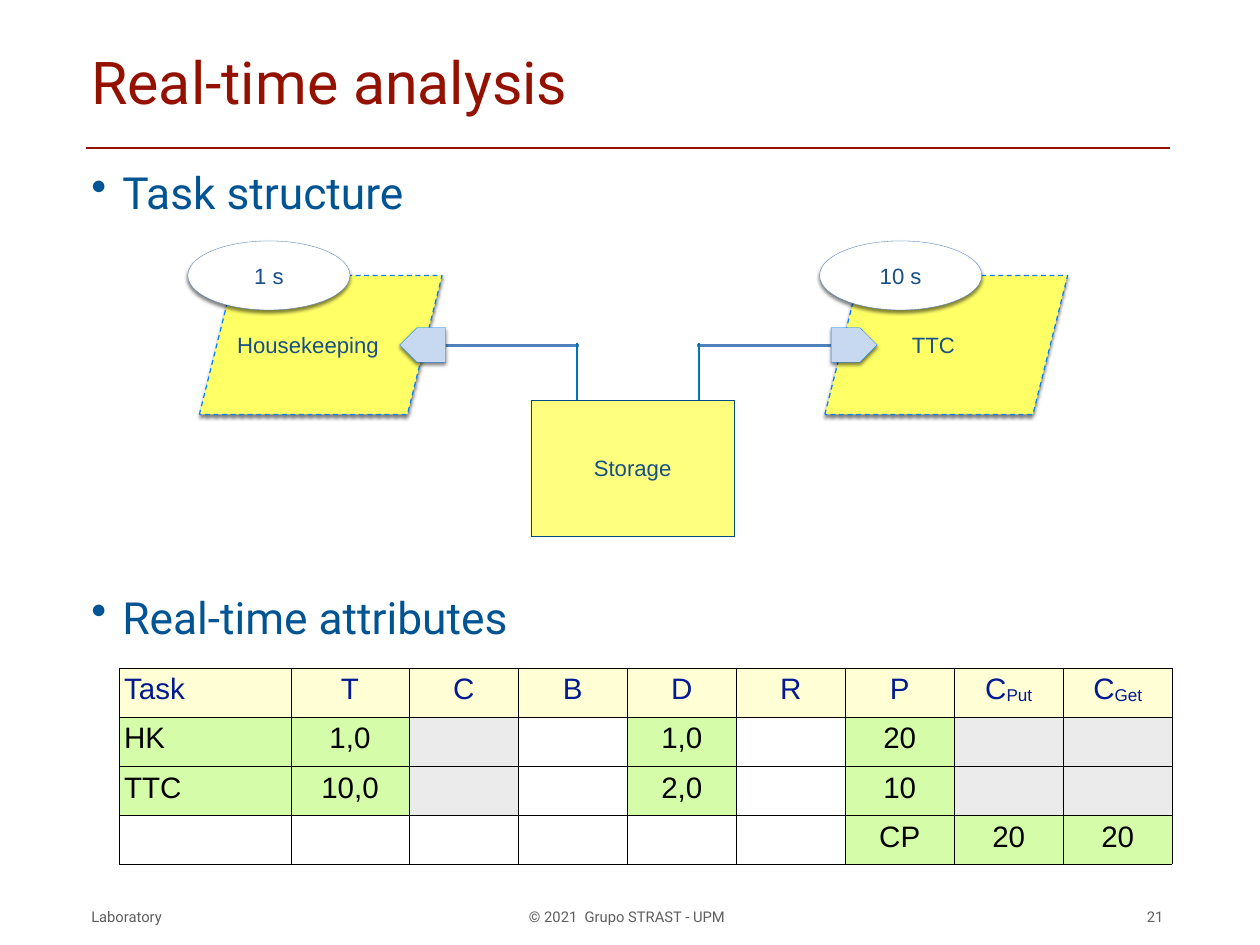
from dataclasses import dataclass

from lxml import etree
from pptx import Presentation
from pptx import util as u
from pptx.dml.color import RGBColor
from pptx.enum import dml, shapes, text
from pptx.oxml.ns import qn

LEFT, CENTER, RIGHT = text.PP_ALIGN.LEFT, text.PP_ALIGN.CENTER, text.PP_ALIGN.RIGHT
SHAPE = shapes.MSO_SHAPE


@dataclass(frozen=True)
class Theme:
    # Fonts and type sizes
    head_font: str = "Roboto"
    label_font: str = "Arial"
    title_size: int = 48
    bullet_size: int = 36
    cell_size: int = 24
    label_size: int = 18
    footer_size: int = 12
    # Colours
    title: str = "941100"
    bullet: str = "005493"
    label: str = "174F86"
    footer: str = "5E5E5E"
    black: str = "000000"
    white: str = "FFFFFF"
    task: str = "FFFF66"
    outline: str = "0080FF"
    oval_line: str = "4A7EBB"
    port: str = "C6D9F1"
    storage: str = "FEFF7E"
    storage_line: str = "004D80"
    link: str = "4F81BD"
    stem: str = "0076BA"
    header_text: str = "011993"
    header_fill: str = "FFFED5"
    known: str = "D4FCA9"
    pending: str = "EBEBEB"


class SlideBuilder:
    def __init__(self, s, theme):
        self.s, self.t = s, theme

    def run(self, p, words, size, color, font, baseline=0):
        r = p.add_run()
        r.text = words
        r.font.size, r.font.name = u.Pt(size), font
        r.font.color.rgb = RGBColor.from_string(color)
        if baseline:
            r.font._element.set("baseline", str(baseline))

    def frame(self, tf, wrap=True, anchor=text.MSO_ANCHOR.MIDDLE):
        tf.word_wrap = wrap
        tf.vertical_anchor = anchor
        tf.margin_left = tf.margin_right = u.Inches(0.06)
        tf.margin_top = tf.margin_bottom = u.Inches(0.06)
        return tf.paragraphs[0]

    def text(self, box, words, size, color, font, align=LEFT, wrap=True):
        tf = self.s.shapes.add_textbox(*map(u.Inches, box)).text_frame
        p = self.frame(tf, wrap)
        p.alignment = align
        self.run(p, words, size, color, font)

    def bullet(self, y, words):
        t = self.t
        box = (0.97, y, 12.22, 0.72)
        tf = self.s.shapes.add_textbox(*map(u.Inches, box)).text_frame
        p = self.frame(tf, anchor=text.MSO_ANCHOR.TOP)
        pPr = p._p.get_or_add_pPr()
        pPr.set("marL", str(u.Inches(0.35)))
        pPr.set("indent", str(-u.Inches(0.35)))
        etree.SubElement(pPr, qn("a:buChar"), char="•")
        self.run(p, words, t.bullet_size, t.bullet, t.head_font)

    def line(self, start, end, color):
        c = self.s.shapes.add_connector(
            shapes.MSO_CONNECTOR.STRAIGHT, *map(u.Inches, start + end))
        c.line.color.rgb = RGBColor.from_string(color)
        c.line.width = u.Pt(2)
        etree.SubElement(c._element.spPr, qn("a:effectLst"))

    def shape(self, kind, box, fill, line, width=0.25, words="", shadow=True):
        t = self.t
        sp = self.s.shapes.add_shape(kind, *map(u.Inches, box))
        sp.fill.solid()
        sp.fill.fore_color.rgb = RGBColor.from_string(fill)
        sp.line.color.rgb = RGBColor.from_string(line)
        sp.line.width = u.Pt(width)
        sp.shadow.inherit = False
        if shadow:
            effects = sp._element.spPr.find(qn("a:effectLst"))
            shade = etree.SubElement(
                effects, qn("a:outerShdw"), blurRad=str(u.Pt(3)),
                dist=str(u.Pt(2)), dir="5400000", rotWithShape="0")
            color = etree.SubElement(shade, qn("a:srgbClr"), val=t.black)
            etree.SubElement(color, qn("a:alpha"), val="50000")
        if words:
            p = self.frame(sp.text_frame)
            p.alignment = CENTER
            self.run(p, words, t.label_size, t.label, t.label_font)
        return sp

    def task(self, x, oval_x, name, period):
        t = self.t
        sp = self.shape(SHAPE.PARALLELOGRAM, (x, 3.11, 2.74, 1.57),
                        t.task, t.outline, 1)
        sp.line.dash_style = dml.MSO_LINE.DASH
        self.text((x + 0.25, 3.67, 1.95, 0.45), name,
                  t.label_size, t.label, t.label_font, CENTER)
        self.shape(SHAPE.OVAL, (oval_x, 2.72, 1.83, 0.78),
                   t.white, t.oval_line, words=period)

    def port(self, x, rotation):
        t = self.t
        sp = self.shape(SHAPE.PENTAGON, (x, 3.7, 0.52, 0.39), t.port, t.outline)
        sp.rotation = rotation

    def cell(self, cell, words, fill, color, align):
        t = self.t
        cell.margin_left = cell.margin_right = u.Inches(0.06)
        cell.margin_top = cell.margin_bottom = u.Inches(0.06)
        tcPr = cell._tc.get_or_add_tcPr()
        for side in ("lnL", "lnR", "lnT", "lnB"):
            ln = etree.SubElement(tcPr, qn("a:" + side), w=str(u.Pt(0.25)))
            solid = etree.SubElement(ln, qn("a:solidFill"))
            etree.SubElement(solid, qn("a:srgbClr"), val=t.black)
        if fill:
            cell.fill.solid()
            cell.fill.fore_color.rgb = RGBColor.from_string(fill)
        else:
            cell.fill.background()
        p = cell.text_frame.paragraphs[0]
        p.alignment = align
        main, _, sub = words.partition("_")
        for part, baseline in ((main, 0), (sub, -6000)):
            if part:
                self.run(p, part, t.cell_size, color, t.label_font, baseline)

    def table(self, box, widths, rows, pending):
        t = self.t
        table = self.s.shapes.add_table(
            len(rows), len(widths), *map(u.Inches, box)).table
        table.first_row = table.horz_banding = False
        for col, width in zip(table.columns, widths):
            col.width = u.Inches(width)
        for i, row in enumerate(rows):
            for j, words in enumerate(row):
                if i == 0:
                    fill = t.header_fill
                elif words:
                    fill = t.known
                else:
                    fill = t.pending if (i, j) in pending else None
                self.cell(table.cell(i, j), words, fill,
                          t.black if i else t.header_text,
                          CENTER if j else text.PP_ALIGN.JUSTIFY)


def main():
    prs = Presentation()
    prs.slide_width, prs.slide_height = u.Inches(14.22), u.Inches(10.67)
    t = Theme()
    b = SlideBuilder(prs.slides.add_slide(prs.slide_layouts[6]), t)

    # Title and rule
    b.line((0.97, 1.67), (13.21, 1.67), t.title)
    b.text((0.97, 0.22, 12.22, 1.39), "Real-time analysis",
           t.title_size, t.title, t.head_font)

    # Section bullets
    b.bullet(1.81, "Task structure")
    b.bullet(6.6, "Real-time attributes")

    # Task diagram
    b.task(2.25, 2.12, "Housekeeping", "1 s")
    b.task(9.31, 9.25, "TTC", "10 s")
    b.shape(SHAPE.RECTANGLE, (5.99, 4.52, 2.3, 1.53), t.storage,
            t.storage_line, words="Storage", shadow=False)
    for port_x, rotation, link_x, stem_x, end_x in (
            (4.51, 180, 4.71, 6.51, 6.53), (9.38, 0, 9.7, 7.89, 7.87)):
        b.line((link_x, 3.9), (end_x, 3.9), t.link)
        b.port(port_x, rotation)
        b.line((stem_x, 4.52), (stem_x, 3.87), t.stem)

    # Attribute table; an underscore starts a subscript
    rows = [
        ["Task", "T", "C", "B", "D", "R", "P", "C_Put", "C_Get"],
        ["HK", "1,0", "", "", "1,0", "", "20", "", ""],
        ["TTC", "10,0", "", "", "2,0", "", "10", "", ""],
        ["", "", "", "", "", "", "CP", "20", "20"],
    ]
    pending = {(i, j) for i in (1, 2) for j in (2, 7, 8)}
    b.table((1.34, 7.54, 11.87, 2.22), [1.94, 1.34] + [1.23] * 7, rows, pending)

    # Footer
    for x, width, words, align in (
            (0.97, 1.59, "Laboratory", LEFT),
            (5.91, 2.45, "© 2021  Grupo STRAST - UPM", LEFT),
            (12.88, 0.31, "21", RIGHT)):
        b.text((x, 10.19, width, 0.31), words, t.footer_size, t.footer,
               t.head_font, align, wrap=False)

    prs.save("out.pptx")


if __name__ == "__main__":
    main()
